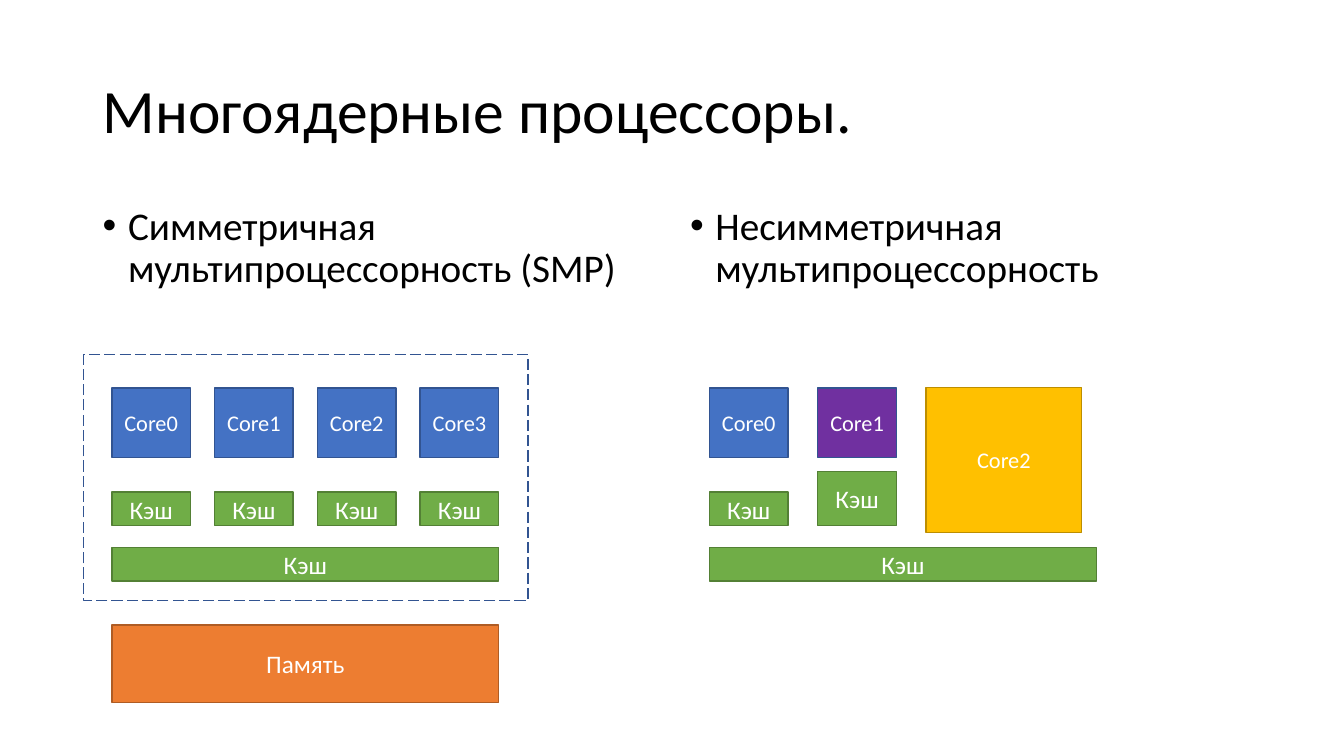
from lxml.etree import SubElement
from pptx import Presentation
from pptx.dml.color import RGBColor
from pptx.enum.dml import MSO_LINE_DASH_STYLE as Dash
from pptx.enum.shapes import MSO_SHAPE as Shape
from pptx.enum.text import MSO_ANCHOR as Anchor, MSO_AUTO_SIZE as AutoSize, PP_ALIGN as Align
from pptx.oxml.ns import qn
from pptx.util import Cm, Pt

# Content
TITLE = "Многоядерные процессоры."
# text, left, height
HEADINGS = [
    ("Симметричная мультипроцессорность (SMP)", 2.34, 6.81),
    ("Несимметричная мультипроцессорность", 17.14, 12.09),
]
SMP_CORES = ["Core0", "Core1", "Core2", "Core3"]
CACHE = "Кэш"
MEMORY = "Память"

COLORS = {
    "text": "000000", "label": "FFFFFF",
    "core": "4472C4", "core_line": "325491",
    "cache": "70AD47", "cache_line": "538035",
    "memory": "ED7D31", "memory_line": "AF5C24",
    "special": "7030A0", "special_line": "325491",
    "big": "FFC000", "big_line": "BD8E00",
}
FONT = "Calibri"

# Diagram measures, in centimetres
SMP_LEFT, SMP_STEP = 2.82, 2.59
AMP_LEFT, AMP_STEP = 17.88, 2.73
UNIT, CORE_HEIGHT, CACHE_HEIGHT = 1.98, 1.75, 0.85
CORE_TOP, CACHE_TOP, SHARED_TOP = 9.78, 12.4, 13.79
SHARED_WIDTH = 3 * SMP_STEP + UNIT


def color(name):
    return RGBColor.from_string(COLORS[name])


def write(frame, text, size, tone, **para_format):
    para = frame.paragraphs[0]
    for name, value in para_format.items():
        setattr(para, name, value)
    span = para.add_run()
    span.text = text
    for name, value in {"name": FONT, "size": Pt(size)}.items():
        setattr(span.font, name, value)
    span.font.color.rgb = color(tone)
    return para


def add_rect(page, left, top, width, height, line):
    box = page.shapes.add_shape(Shape.RECTANGLE, Cm(left), Cm(top), Cm(width), Cm(height))
    box.shadow.inherit = False
    box.line.color.rgb = color(line)
    box.line.width = Pt(1)
    return box


def add_block(page, text, kind, left, top, width, height, size=18):
    box = add_rect(page, left, top, width, height, kind + "_line")
    box.fill.solid()
    box.fill.fore_color.rgb = color(kind)
    box.text_frame.vertical_anchor = Anchor.MIDDLE
    write(box.text_frame, text, size, "label", alignment=Align.CENTER)


def add_core(page, text, left, kind="core"):
    add_block(page, text, kind, left, CORE_TOP, UNIT, CORE_HEIGHT, 16)


def add_cache(page, left, top=CACHE_TOP, width=UNIT, height=CACHE_HEIGHT):
    add_block(page, CACHE, "cache", left, top, width, height)


def add_title(page):
    title = page.shapes.title
    place = {"left": 2.34, "top": 1.02, "width": 29.21, "height": 3.68}
    for name, value in place.items():
        setattr(title, name, Cm(value))
    frame = title.text_frame
    frame.auto_size = AutoSize.NONE
    frame.vertical_anchor = Anchor.MIDDLE
    write(frame, TITLE, 44, "text", alignment=Align.LEFT, line_spacing=0.9)


def add_heading(page, text, left, height):
    box = page.shapes.add_textbox(Cm(left), Cm(5.08), Cm(14.4), Cm(height))
    box.text_frame.word_wrap = True
    para = write(box.text_frame, text, 28, "text", line_spacing=0.9, space_before=Pt(10))
    # Bullet with a hanging indent
    props = para._p.get_or_add_pPr()
    props.set("marL", str(Cm(0.64)))
    props.set("indent", str(-Cm(0.64)))
    SubElement(props, qn("a:buFont"), typeface="Arial")
    SubElement(props, qn("a:buChar"), char="•")


def add_symmetric(page):
    lefts = [SMP_LEFT + i * SMP_STEP for i in range(len(SMP_CORES))]
    for name, left in zip(SMP_CORES, lefts):
        add_core(page, name, left)
        add_cache(page, left)
    add_cache(page, SMP_LEFT, SHARED_TOP, SHARED_WIDTH)
    add_block(page, MEMORY, "memory", SMP_LEFT, 15.75, SHARED_WIDTH, 1.95)
    # Dashed chip outline
    chip = add_rect(page, 2.11, 8.94, 11.2, 6.2, "core_line")
    chip.fill.background()
    chip.line.dash_style = Dash.LONG_DASH


def add_asymmetric(page):
    first, second, third = [AMP_LEFT + i * AMP_STEP for i in range(3)]
    add_core(page, "Core0", first)
    add_cache(page, first)
    add_cache(page, first, SHARED_TOP, SHARED_WIDTH)
    add_core(page, "Core1", second, "special")
    add_cache(page, second, 11.88, height=1.37)
    add_block(page, "Core2", "big", third, 9.76, 3.92, 3.66, 16)


def main():
    deck = Presentation()
    deck.slide_width, deck.slide_height = Cm(33.87), Cm(19.05)
    page = deck.slides.add_slide(deck.slide_layouts[5])
    add_title(page)
    for heading in HEADINGS:
        add_heading(page, *heading)
    add_symmetric(page)
    add_asymmetric(page)
    deck.save("out.pptx")


if __name__ == "__main__":
    main()
